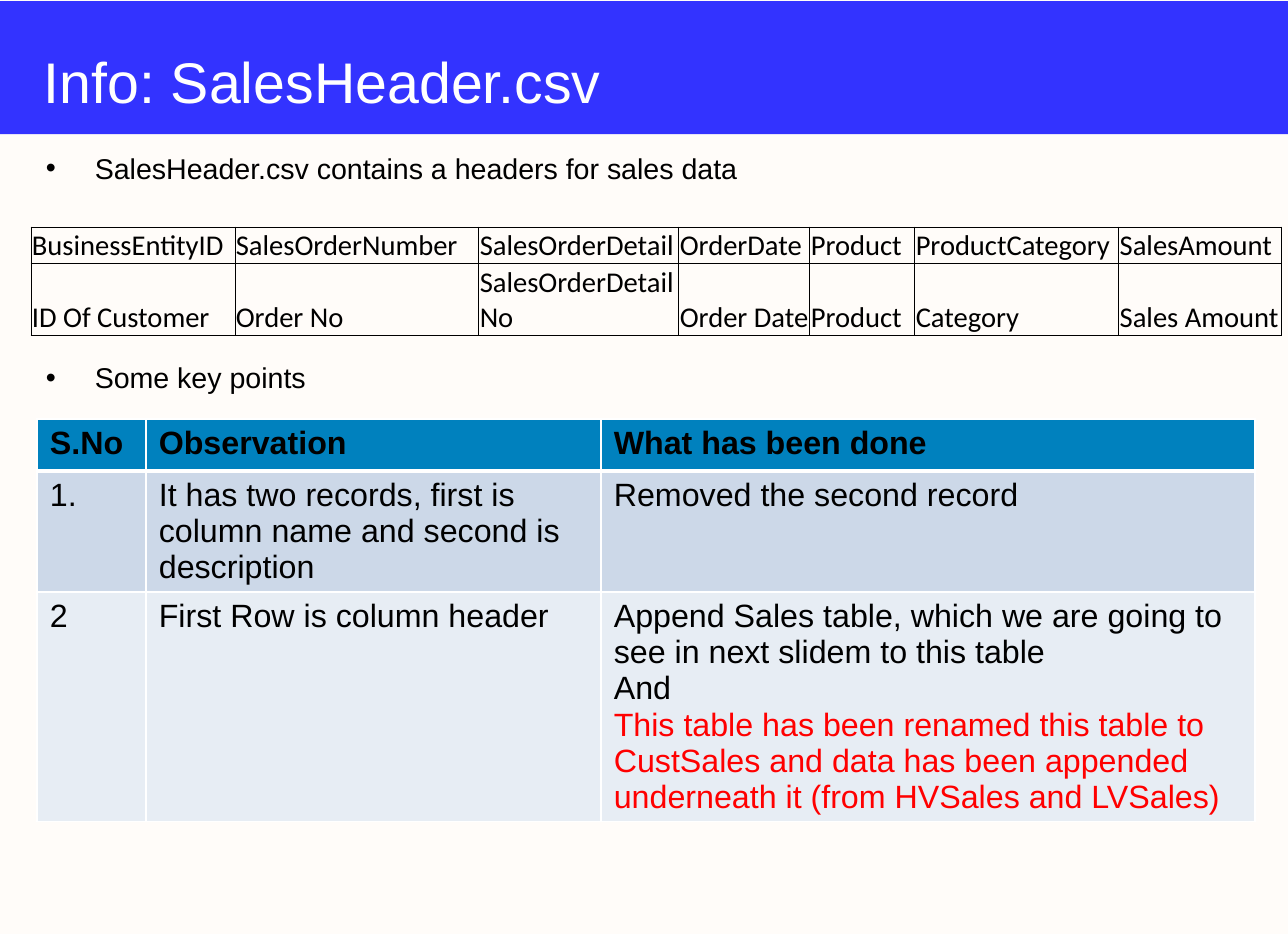
from lxml import etree
from pptx import Presentation
from pptx.dml.color import RGBColor
from pptx.enum.shapes import MSO_SHAPE
from pptx.enum.text import MSO_ANCHOR, MSO_AUTO_SIZE, PP_ALIGN
from pptx.oxml.ns import qn
from pptx.util import Inches, Pt

RECTANGLE = MSO_SHAPE.RECTANGLE
TOP, MIDDLE, BOTTOM = MSO_ANCHOR.TOP, MSO_ANCHOR.MIDDLE, MSO_ANCHOR.BOTTOM
LEFT = PP_ALIGN.LEFT
NO_AUTOFIT = MSO_AUTO_SIZE.NONE

BLACK = RGBColor(0x00, 0x00, 0x00)
WHITE = RGBColor(0xFF, 0xFF, 0xFF)
RED = RGBColor(0xFF, 0x00, 0x00)
CREAM = RGBColor(0xFF, 0xFC, 0xF9)
BANNER_BLUE = RGBColor(0x33, 0x33, 0xFF)
HEADER_BLUE = RGBColor(0x00, 0x81, 0xBE)
BAND_DARK = RGBColor(0xCC, 0xD8, 0xE8)
BAND_LIGHT = RGBColor(0xE7, 0xED, 0xF4)

# Content
TITLE = "Info: SalesHeader.csv"
BULLETS = [  # text, space before in points
    ("SalesHeader.csv contains a headers for sales data", 0),
    ("Some key points", 98),
]
FIELDS = [
    ("BusinessEntityID", "SalesOrderNumber", "SalesOrderDetail", "OrderDate",
     "Product", "ProductCategory", "SalesAmount"),
    ("ID Of Customer", "Order No", "SalesOrderDetail No", "Order Date",
     "Product", "Category", "Sales Amount"),
]
FIELD_WIDTHS = (204, 244, 200, 131, 105, 204, 163)
FIELD_HEIGHTS = (36, 72)
RENAMED = ("This table has been renamed this table to CustSales and data has been "
           "appended underneath it (from HVSales and LVSales)")
OBSERVATIONS = [
    ("S.No", "Observation", "What has been done"),
    ("1.", "It has two records, first is column name and second is description",
     "Removed the second record"),
    ("2", "First Row is column header",
     "Append Sales table, which we are going to see in next slidem to this table\n"
     "And\n" + RENAMED),
]
OBSERVATION_WIDTHS = (109, 455, 654)
OBSERVATION_HEIGHTS = (52, 121, 229)
OBSERVATION_FILLS = (HEADER_BLUE, BAND_DARK, BAND_LIGHT)

PIXELS_PER_INCH = 128.8


def px(pixels):
    return Inches(pixels / PIXELS_PER_INCH)


def place(shape, left, top, width, height):
    shape.left, shape.top = px(left), px(top)
    shape.width, shape.height = px(width), px(height)


def format_paragraph(paragraph, size, color, font="Arial", bold=False):
    paragraph.alignment = LEFT
    for run in paragraph.runs:
        run.font.name, run.font.size = font, Pt(size)
        run.font.bold, run.font.color.rgb = bold, color


def set_borders(cell, color, widths):
    properties = cell._tc.get_or_add_tcPr()
    for side, width in zip("LRTB", widths):
        line = etree.SubElement(properties, qn("a:ln" + side), w=str(Pt(width)))
        fill = etree.SubElement(line, qn("a:solidFill"))
        etree.SubElement(fill, qn("a:srgbClr"), val=str(color))


def add_grid(slide, left, top, rows, widths, heights):
    """Add a table and yield each cell with its row number."""
    frame = slide.shapes.add_table(len(rows), len(widths), px(left), px(top),
                                   px(sum(widths)), px(sum(heights)))
    table = frame.table
    for column, width in zip(table.columns, widths):
        column.width = px(width)
    for row, height in zip(table.rows, heights):
        row.height = px(height)
    for r, texts in enumerate(rows):
        for c, text in enumerate(texts):
            cell = table.cell(r, c)
            cell.text_frame.text = text
            yield r, cell


presentation = Presentation()
presentation.slide_width, presentation.slide_height = Inches(10), Inches(7.25)
slide = presentation.slides.add_slide(presentation.slide_layouts[1])
slide.background.fill.solid()
slide.background.fill.fore_color.rgb = CREAM
title, body = slide.placeholders

# Banner behind the title
banner = slide.shapes.add_shape(RECTANGLE, 0, px(1), px(1288), px(133))
banner.shadow.inherit = False
banner.fill.solid()
banner.fill.fore_color.rgb = BANNER_BLUE
banner.line.fill.background()
title.element.addprevious(banner.element)

# Title
place(title, 31, 42, 1233, 77)
title.text_frame.text = TITLE
title.text_frame.vertical_anchor = MIDDLE
title.text_frame.auto_size = NO_AUTOFIT
format_paragraph(title.text_frame.paragraphs[0], 32, WHITE)

# Bullets
place(body, 33, 144, 1230, 755)
body.text_frame.text = "\n".join(text for text, _ in BULLETS)
body.text_frame.vertical_anchor = TOP
body.text_frame.auto_size = NO_AUTOFIT
for paragraph, (_, gap) in zip(body.text_frame.paragraphs, BULLETS):
    format_paragraph(paragraph, 16, BLACK)
    paragraph.space_before = Pt(gap)
    properties = paragraph._p.get_or_add_pPr()
    properties.set("marL", str(Inches(0.38)))
    properties.set("indent", str(-Inches(0.38)))
    etree.SubElement(properties, qn("a:buFont"), typeface="Arial")
    etree.SubElement(properties, qn("a:buChar"), char="•")

# Observations table
for row, cell in add_grid(slide, 37, 419, OBSERVATIONS, OBSERVATION_WIDTHS,
                          OBSERVATION_HEIGHTS):
    set_borders(cell, WHITE, (1, 1, 3 if row == 1 else 1, 3 if row == 0 else 1))
    cell.fill.solid()
    cell.fill.fore_color.rgb = OBSERVATION_FILLS[row]
    for paragraph in cell.text_frame.paragraphs:
        color = RED if paragraph.text == RENAMED else BLACK
        format_paragraph(paragraph, 18, color, bold=row == 0)

# Field table
for row, cell in add_grid(slide, 31, 227, FIELDS, FIELD_WIDTHS, FIELD_HEIGHTS):
    set_borders(cell, BLACK, (0.5,) * 4)
    cell.fill.background()
    cell.vertical_anchor = BOTTOM
    cell.margin_left = cell.margin_right = cell.margin_top = px(1)
    cell.margin_bottom = 0
    format_paragraph(cell.text_frame.paragraphs[0], 16, BLACK, font="Calibri")

presentation.save("out.pptx")
